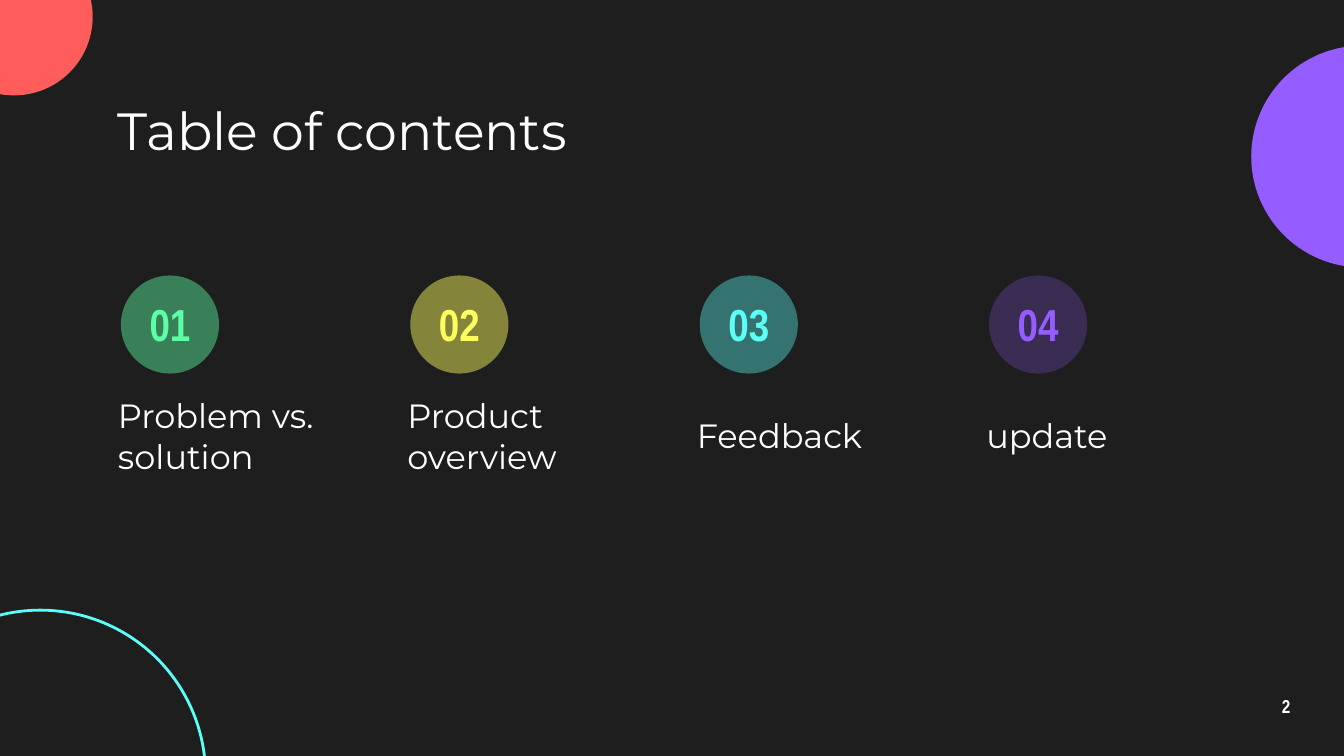
"""Build a dark table-of-contents slide with four numbered topics."""
import pptx
import pptx.dml.color
import pptx.enum.shapes
import pptx.enum.text
import pptx.oxml
import pptx.oxml.ns
import pptx.util

Inches = pptx.util.Inches
Pt = pptx.util.Pt
ALIGN = pptx.enum.text.PP_ALIGN


def rgb(value):
    return pptx.dml.color.RGBColor.from_string(value)


class Deck:
    heading_font = "Montserrat"
    number_font = "Arial Narrow"
    background = "1E1E1E"
    ink = "FFFFFF"
    first_column, last_column, columns = 0.78, 7.24, 4

    def __init__(self, width, height):
        self.presentation = pptx.Presentation()
        self.presentation.slide_width = Inches(width)
        self.presentation.slide_height = Inches(height)
        self.slide = self.presentation.slides.add_slide(self.presentation.slide_layouts[6])
        fill = self.slide.background.fill
        fill.solid()
        fill.fore_color.rgb = rgb(self.background)

    def circle(self, left, top, size, fill=None, opacity=100, outline=None):
        disc = self.slide.shapes.add_shape(
            pptx.enum.shapes.MSO_SHAPE.OVAL,
            Inches(left), Inches(top), Inches(size), Inches(size))
        disc.shadow.inherit = False
        if fill:
            disc.fill.solid()
            disc.fill.fore_color.rgb = rgb(fill)
        else:
            disc.fill.background()
        if outline:
            disc.line.color.rgb = rgb(outline)
            disc.line.width = Pt(1.5)
        else:
            disc.line.fill.background()
        if opacity < 100:
            colour = disc.element.spPr.find(".//" + pptx.oxml.ns.qn("a:srgbClr"))
            colour.append(pptx.oxml.parse_xml(
                f'<a:alpha {pptx.oxml.ns.nsdecls("a")} val="{opacity * 1000}"/>'))

    def text(self, wording, left, top, width, height, size, colour=ink,
             font=heading_font, bold=False, align=ALIGN.LEFT, spacing=1.0):
        frame = self.slide.shapes.add_textbox(
            Inches(left), Inches(top), Inches(width), Inches(height)).text_frame
        frame_format = {"word_wrap": True, "vertical_anchor": pptx.enum.text.MSO_ANCHOR.MIDDLE}
        for side in ("left", "top", "right", "bottom"):
            frame_format[f"margin_{side}"] = Inches(0.1)
        for name, value in frame_format.items():
            setattr(frame, name, value)
        paragraph = frame.paragraphs[0]
        paragraph.alignment = align
        paragraph.line_spacing = spacing
        run = paragraph.add_run()
        run.text = wording
        for name, value in {"name": font, "size": Pt(size), "bold": bold}.items():
            setattr(run.font, name, value)
        run.font.color.rgb = rgb(colour)

    def number(self, wording, left, top, width, height, size, colour=ink, spacing=1.0):
        self.text(wording, left, top, width, height, size, colour,
                  self.number_font, True, ALIGN.CENTER, spacing)

    def topic(self, index, wording, colour, opacity):
        pitch = (self.last_column - self.first_column) / (self.columns - 1)
        left = self.first_column + pitch * index
        badge_left = left + 0.12
        self.circle(badge_left, 2.05, 0.73, colour, opacity)
        self.number(f"{index + 1:02}", badge_left, 2.16, 0.73, 0.5, 24, colour)
        self.text(wording, left, 2.94, 1.97, 0.6, 18)


def main():
    deck = Deck(10, 10 * 9 / 16)
    deck.circle(9.31, 0.34, 1.65, fill="955CFF")
    deck.circle(-0.48, -0.46, 1.17, fill="FF5C5C")
    deck.circle(-0.93, 4.54, 2.46, outline="5CFFF8")
    deck.text("Table of contents", 0.78, 0.71, 8.44, 0.51, 28)
    topics = [
        ("Problem vs. solution", "5CFFA6", 44),
        ("Product overview", "FDFF5C", 46),
        ("Feedback", "5CFFF8", 38),
        ("update", "955CFF", 24),
    ]
    for index, (wording, colour, opacity) in enumerate(topics):
        deck.topic(index, wording, colour, opacity)
    deck.number("2", 9.27, 5.1, 0.6, 0.34, 10, spacing=0.8)
    deck.presentation.save("out.pptx")


if __name__ == "__main__":
    main()
